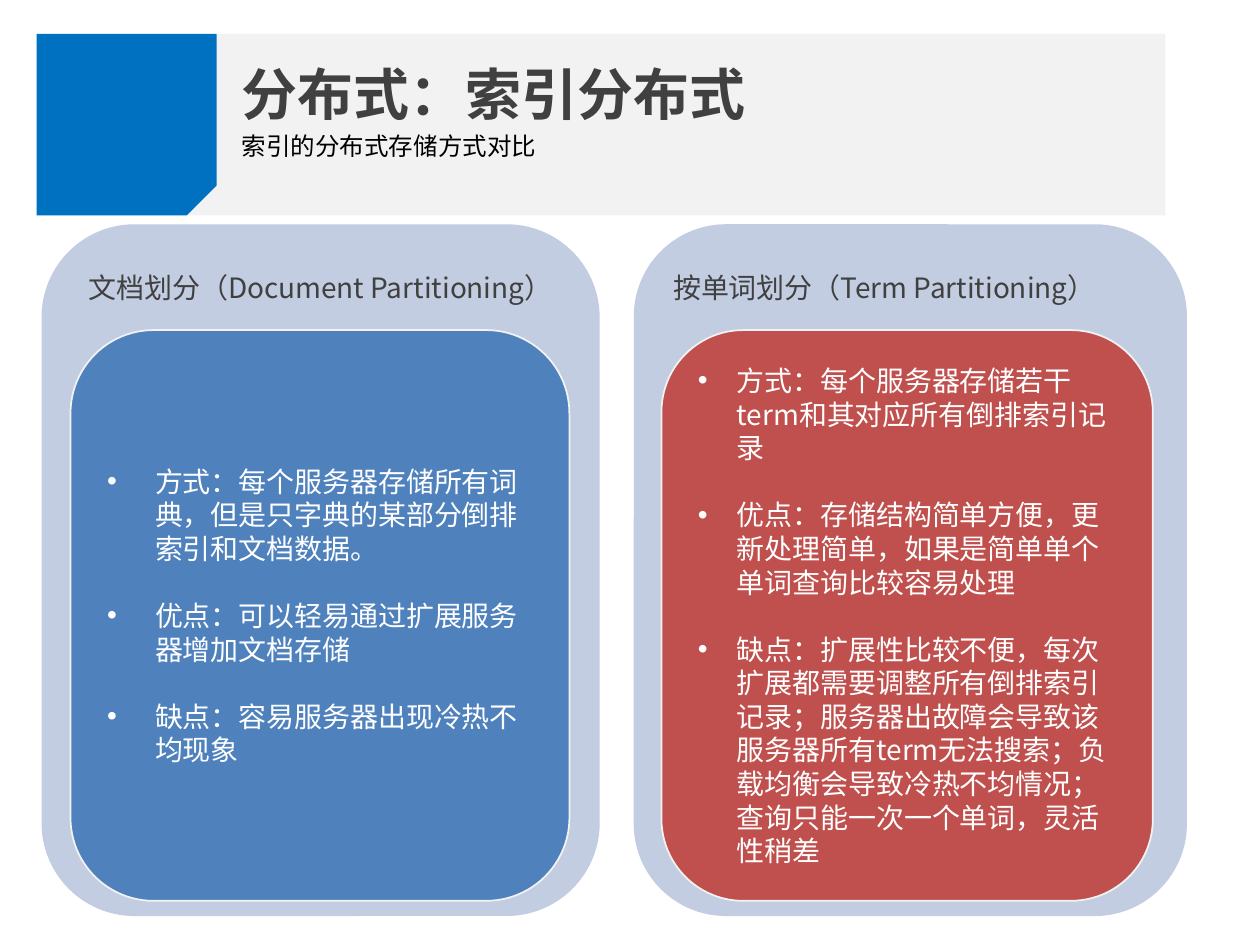
import pptx
import pptx.util
import pptx.dml.color
import pptx.enum.shapes
import pptx.enum.text
import pptx.oxml
import pptx.oxml.ns

Inches, Pt = pptx.util.Inches, pptx.util.Pt
RGBColor = pptx.dml.color.RGBColor
SHAPE = pptx.enum.shapes.MSO_SHAPE
ANCHOR = pptx.enum.text.MSO_ANCHOR
ALIGN = pptx.enum.text.PP_ALIGN

FONT = "Noto Sans CJK SC"
BLACK = RGBColor(0x00, 0x00, 0x00)
WHITE = RGBColor(0xFF, 0xFF, 0xFF)
DARK_GRAY = RGBColor(0x40, 0x40, 0x40)
PALE_GRAY = RGBColor(0xF2, 0xF2, 0xF2)
BANNER_BLUE = RGBColor(0x00, 0x70, 0xC0)
PANEL_BLUE = RGBColor(0xC2, 0xCD, 0xE1)
CARD_BLUE = RGBColor(0x4F, 0x81, 0xBD)
CARD_RED = RGBColor(0xC0, 0x50, 0x4D)

deck = pptx.Presentation()
deck.slide_width, deck.slide_height = Inches(10), Inches(7.5)
slide = deck.slides.add_slide(deck.slide_layouts[6])


def add_block(preset, left, top, width, height, fill):
    block = slide.shapes.add_shape(
        preset, Inches(left), Inches(top), Inches(width), Inches(height))
    block.shadow.inherit = False
    block.fill.solid()
    block.fill.fore_color.rgb = fill
    block.line.fill.background()
    return block


def style_text(paragraph, size, color, align=ALIGN.LEFT, spacing=1.2):
    """Format a paragraph with an exact line height of size * spacing."""
    paragraph.alignment = align
    paragraph.line_spacing = Pt(round(size * spacing, 1))
    for run in paragraph.runs:
        run.font.size = Pt(size)
        run.font.name = FONT
        run.font.color.rgb = color
        east_asian = pptx.oxml.parse_xml(
            f'<a:ea {pptx.oxml.ns.nsdecls("a")} typeface="{FONT}"/>')
        run.font._element.find(pptx.oxml.ns.qn("a:latin")).addnext(east_asian)


# Banner: the snipped corner sits at the bottom right
for width, fill, snip in [(8.96, PALE_GRAY, 0), (1.43, BANNER_BLUE, 0.16667)]:
    banner = add_block(SHAPE.SNIP_1_RECTANGLE, 0.29, 0.27, width, 1.44, fill)
    banner.adjustments[0] = snip
    banner.rotation = 180
    banner._element.spPr.xfrm.set("flipH", "1")

for text, top, height, size, color, bold, spacing in [
    ("索引的分布式存储方式对比", 0.99, 0.34, 14, BLACK, False, 1.2),
    ("分布式：索引分布式", 0.16, 0.91, 32, DARK_GRAY, True, 1.8),
]:
    heading = slide.shapes.add_textbox(
        Inches(1.82), Inches(top), Inches(7.3), Inches(height))
    heading.text_frame.word_wrap = True
    heading.text_frame.text = text
    style_text(heading.text_frame.paragraphs[0], size, color, spacing=spacing)
    heading.text_frame.paragraphs[0].runs[0].font.bold = bold

# Each scheme: label, label alignment, panel and card (left, width), card fill, indent, points
schemes = [
    ("按单词划分（Term Partitioning）", ALIGN.LEFT, (5.03, 4.39), (5.25, 3.9), CARD_RED, 0.31, [
        "方式：每个服务器存储若干term和其对应所有倒排索引记录",
        "优点：存储结构简单方便，更新处理简单，如果是简单单个单词查询比较容易处理",
        "缺点：扩展性比较不便，每次扩展都需要调整所有倒排索引记录；服务器出故障会导致该"
        "服务器所有term无法搜索；负载均衡会导致冷热不均情况；查询只能一次一个单词，灵活性稍差",
    ]),
    ("文档划分（Document Partitioning）", ALIGN.CENTER, (0.33, 4.43), (0.56, 3.96), CARD_BLUE, 0.38, [
        "方式：每个服务器存储所有词典，但是只字典的某部分倒排索引和文档数据。",
        "优点：可以轻易通过扩展服务器增加文档存储",
        "缺点：容易服务器出现冷热不均现象",
    ]),
]
for label, align, (panel_left, panel_width), (card_left, card_width), fill, indent, points in schemes:
    panel = add_block(SHAPE.ROUNDED_RECTANGLE, panel_left, 1.78, panel_width, 5.49, PANEL_BLUE)
    panel.text_frame.vertical_anchor = ANCHOR.TOP
    panel.text_frame.margin_top = Inches(0.15)
    panel.text_frame.text = label
    style_text(panel.text_frame.paragraphs[0], 16, DARK_GRAY, align)

    card = add_block(SHAPE.ROUNDED_RECTANGLE, card_left, 2.62, card_width, 4.53, fill)
    card.line.color.rgb = PALE_GRAY
    card.line.width = Pt(1)
    card.text_frame.vertical_anchor = ANCHOR.MIDDLE
    card.text_frame.text = "\n".join(points)
    for number, paragraph in enumerate(card.text_frame.paragraphs):
        style_text(paragraph, 16, WHITE)
        if number:
            paragraph.space_before = Pt(19.2)
        properties = paragraph._p.get_or_add_pPr()
        properties.set("marL", str(Inches(indent)))
        properties.set("indent", str(-Inches(indent)))
        for bullet in ('buFont typeface="Arial"', 'buChar char="•"'):
            properties.append(pptx.oxml.parse_xml(
                f'<a:{bullet} {pptx.oxml.ns.nsdecls("a")}/>'))

deck.save("out.pptx")
